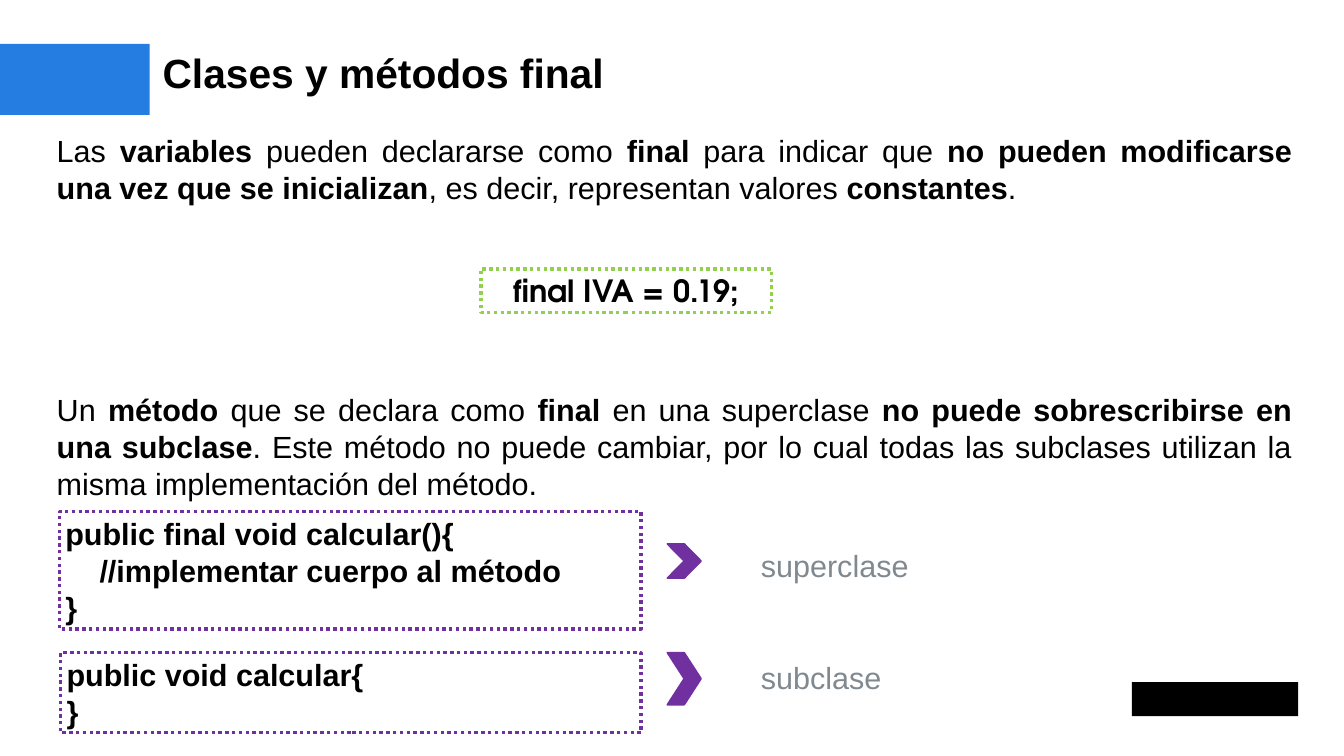
from pptx import Presentation
from pptx.dml.color import RGBColor
from pptx.enum import dml, shapes, text
from pptx.util import Inches, Pt

BLACK, BLUE, GREEN, PURPLE, GREY = "000000", "257CE1", "92D050", "7030A0", "818990"
LEFT, MID = text.PP_ALIGN.LEFT, text.PP_ALIGN.CENTER
JUST = text.PP_ALIGN.JUSTIFY
RECT, CHEVRON = shapes.MSO_SHAPE.RECTANGLE, shapes.MSO_SHAPE.CHEVRON
LINE = 43.6  # line pitch of the 36 pt text, in points


def hue(code):
    return RGBColor.from_string(code)


def write(frame, lines, align=LEFT, color=BLACK, size=36, font="Arial",
          bold=False, pitch=LINE):
    """Fill a frame; parts between ** marks are bold."""
    frame.word_wrap = True
    frame.vertical_anchor = text.MSO_ANCHOR.TOP
    for i, line in enumerate(lines):
        para = frame.paragraphs[0] if i == 0 else frame.add_paragraph()
        para.alignment = align
        if pitch:
            para.line_spacing = Pt(pitch)
        for j, part in enumerate(line.split("**")):
            if not part:
                continue
            run = para.add_run()
            run.text = part
            run.font.name, run.font.size = font, Pt(size)
            run.font.bold = bold or j % 2 == 1
            run.font.color.rgb = hue(color)


def label(slide, box, lines, **style):
    frame = slide.shapes.add_textbox(*map(Inches, box)).text_frame
    write(frame, lines, **style)
    return frame


def solid(slide, kind, box, color, width=0):
    shape = slide.shapes.add_shape(kind, *map(Inches, box))
    shape.shadow.inherit = False
    shape.fill.solid()
    shape.fill.fore_color.rgb = hue(color)
    if width:
        shape.line.color.rgb = hue(color)
        shape.line.width = Pt(width)
    else:
        shape.line.fill.background()


def code(slide, box, color, lines, **style):
    """Dotted frame with bold code."""
    shape = slide.shapes.add_shape(RECT, *map(Inches, box))
    shape.shadow.inherit = False
    shape.fill.background()
    shape.line.color.rgb = hue(color)
    shape.line.width = Pt(4)
    shape.line.dash_style = dml.MSO_LINE.ROUND_DOT
    write(shape.text_frame, lines, bold=True, **style)
    return shape.text_frame


def header(slide, left, top, width):
    solid(slide, RECT, (left, top, 2.45, 1.16), BLUE)
    frame = label(slide, (left + 2.66, top + 0.06, width - 2.66, 0.81),
                  ["Clases y métodos final"], size=48, bold=True, pitch=None)
    frame.margin_left = frame.margin_right = 0
    frame.margin_top = frame.margin_bottom = 0
    frame.vertical_anchor = text.MSO_ANCHOR.MIDDLE


def rules(slide, left, top, width):
    """Both explanations and the constant between them."""
    label(slide, (left, top, width, 1.31), [
        "Las **variables** pueden declararse como **final** para indicar que "
        "**no pueden modificarse una vez que se inicializan**, es decir, "
        "representan valores **constantes**."], align=JUST)
    code(slide, (left + 7.04, top + 2.3, 4.75, 0.71), GREEN,
         ["final IVA = 0.19;"], align=MID, font="TeX Gyre Adventor", pitch=None)
    label(slide, (left, top + 7 * LINE / 72, width, 1.92), [
        "Un **método** que se declara como **final** en una superclase "
        "**no puede sobrescribirse en una subclase**. Este método no puede "
        "cambiar, por lo cual todas las subclases utilizan la misma "
        "implementación del método."], align=JUST)


def sample(slide, box, lines, name, arrow, tag):
    """Code frame, chevron (top, height) and class name at height tag."""
    left = 10.92
    frame = code(slide, box, PURPLE, lines)
    for para in frame.paragraphs[1:-1]:
        para._p.get_or_add_pPr().set("marL", str(Inches(0.56)))
    solid(slide, CHEVRON, (left, arrow[0], 0.55, arrow[1]), PURPLE, 2)
    label(slide, (left + 1.43, tag, 2.64, 0.71), [name], color=GREY)


def main():
    deck = Presentation()
    deck.slide_width, deck.slide_height = Inches(21.99), Inches(12.37)
    slide = deck.slides.add_slide(deck.slide_layouts[6])
    header(slide, 0, 0.72, 21.24)
    rules(slide, 0.83, 2.1, 20.41)
    sample(slide, (0.97, 8.37, 9.52, 1.92),
           ["public final void calcular(){", "//implementar cuerpo al método", "}"],
           "superclase", (8.9, 0.56), 8.9)
    sample(slide, (0.99, 10.68, 9.5, 1.31), ["public void calcular{", "}"],
           "subclase", (10.68, 0.85), 10.72)
    solid(slide, RECT, (18.52, 11.16, 2.72, 0.56), BLACK)
    deck.save("out.pptx")


if __name__ == "__main__":
    main()
